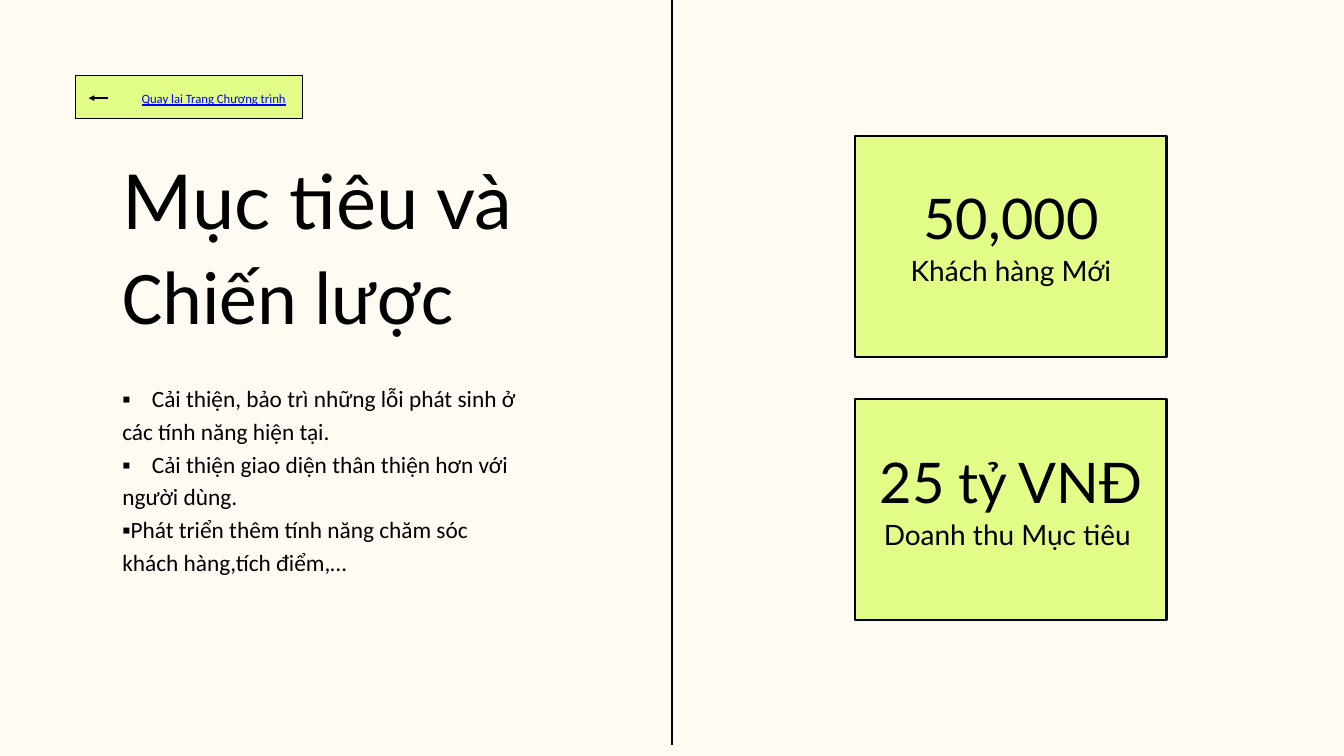
import pptx
import pptx.dml.color
import pptx.enum.shapes
import pptx.enum.text
import pptx.oxml.ns
import pptx.util
from lxml import etree

Inches = pptx.util.Inches
Pt = pptx.util.Pt
Align = pptx.enum.text.PP_ALIGN
Anchor = pptx.enum.text.MSO_ANCHOR
qn = pptx.oxml.ns.qn

CREAM = pptx.dml.color.RGBColor(0xFF, 0xFB, 0xF3)
LIME = pptx.dml.color.RGBColor(0xE1, 0xFD, 0x87)
BLACK = pptx.dml.color.RGBColor(0, 0, 0)
BLUE = pptx.dml.color.RGBColor(0, 0, 0xFF)
HEADING_FONT = "Lato"
BODY_FONT = "Calibri"


class SlideBuilder:
    """Holds the style and the current slide, and draws each kind of element."""

    def __init__(self, page):
        self.page = page
        page.background.fill.solid()
        page.background.fill.fore_color.rgb = CREAM

    def prepare_frame(self, box, inset=0, anchor=Anchor.TOP):
        frame = box.text_frame
        frame.word_wrap = True
        frame.auto_size = pptx.enum.text.MSO_AUTO_SIZE.NONE
        frame.vertical_anchor = anchor
        frame.margin_left = frame.margin_right = Inches(inset)
        frame.margin_top = frame.margin_bottom = Inches(inset)
        return frame

    def style_font(self, font, name, size, color=BLACK):
        font.name = name
        font.size = Pt(size)
        font.color.rgb = color

    def title(self, left, top, width, height, spans, size, leading):
        box = self.page.shapes.title
        box.left, box.top = Inches(left), Inches(top)
        box.width, box.height = Inches(width), Inches(height)
        para = self.prepare_frame(box).paragraphs[0]
        para.alignment = Align.LEFT
        para.line_spacing = Pt(leading)
        for text, font_name in spans:
            span = para.add_run()
            span.text = text
            self.style_font(span.font, font_name, size)

    def text(self, left, top, width, height, inset=0, anchor=Anchor.TOP):
        box = self.page.shapes.add_textbox(
            Inches(left), Inches(top), Inches(width), Inches(height))
        return self.prepare_frame(box, inset, anchor)

    def paragraph(self, frame, text, name, size, leading,
                  align=Align.LEFT, color=BLACK, tab=None):
        para = frame.paragraphs[0]
        if para.runs:
            para = frame.add_paragraph()
        para.add_run().text = text
        para.alignment = align
        para.line_spacing = Pt(leading)
        if tab:
            stops = etree.SubElement(para._p.get_or_add_pPr(), qn("a:tabLst"))
            etree.SubElement(stops, qn("a:tab"), pos=str(Inches(tab)), algn="l")
        self.style_font(para.font, name, size, color)
        return para

    def panel(self, left, top, width, height, line_width):
        shape = self.page.shapes.add_shape(
            pptx.enum.shapes.MSO_SHAPE.RECTANGLE,
            Inches(left), Inches(top), Inches(width), Inches(height))
        shape.shadow.inherit = False
        shape.fill.solid()
        shape.fill.fore_color.rgb = LIME
        shape.line.color.rgb = BLACK
        shape.line.width = Pt(line_width)

    def line(self, start, end, width, arrow=False):
        connector = self.page.shapes.add_connector(
            pptx.enum.shapes.MSO_CONNECTOR.STRAIGHT,
            *(Inches(value) for value in start + end))
        connector.line.color.rgb = BLACK
        connector.line.width = Pt(width)
        if arrow:
            etree.SubElement(connector.line._get_or_add_ln(), qn("a:tailEnd"), type="triangle")
        etree.SubElement(connector._element.spPr, qn("a:effectLst"))

    def card(self, top, figure, label):
        left, width, height, rise = 12.73, 4.63, 3.29, 0.4
        self.panel(left, top, width, height, 2.25)
        frame = self.text(left, top - rise, width, height + rise, 0.28, Anchor.MIDDLE)
        for text, size in ((figure, 60), (label, 30)):
            self.paragraph(frame, text, HEADING_FONT, size, size * 1.3, Align.CENTER)

    def back_button(self, label):
        self.panel(1.13, 1.13, 3.37, 0.63, 1)
        frame = self.text(1.63, 1.32, 2.62, 0.24)
        para = self.paragraph(frame, label, BODY_FONT, 13.6, 19, Align.RIGHT, BLUE)
        para.font.underline = True
        self.line((1.61, 1.46), (1.32, 1.46), 2, arrow=True)


def main():
    deck = pptx.Presentation()
    deck.slide_width, deck.slide_height = Inches(20), Inches(11.25)
    slide = SlideBuilder(deck.slides.add_slide(deck.slide_layouts[5]))

    slide.card(5.94, "25 tỷ VNĐ", "Doanh thu Mục tiêu ")
    slide.card(2.02, "50,000", "Khách hàng Mới")
    slide.line((10, 11.08), (10, -0.17), 2.25)

    slide.title(1.82, 2.23, 6.05, 2.8,
                (("Mục tiêu và ", HEADING_FONT), ("Chiến lược", BODY_FONT)), 81.2, 101.6)
    goals = slide.text(1.82, 5.65, 6.05, 3.32)
    for goal in (
        "▪\tCải thiện, bảo trì những lỗi phát sinh ở các tính năng hiện tại.",
        "▪\tCải thiện giao diện thân thiện hơn với người dùng.",
        "▪Phát triển thêm tính năng chăm sóc khách hàng,tích điểm,…",
    ):
        slide.paragraph(goals, goal, BODY_FONT, 25, 35, tab=0.44)

    slide.back_button("Quay lại Trang Chương trình")
    deck.save("out.pptx")


if __name__ == "__main__":
    main()
